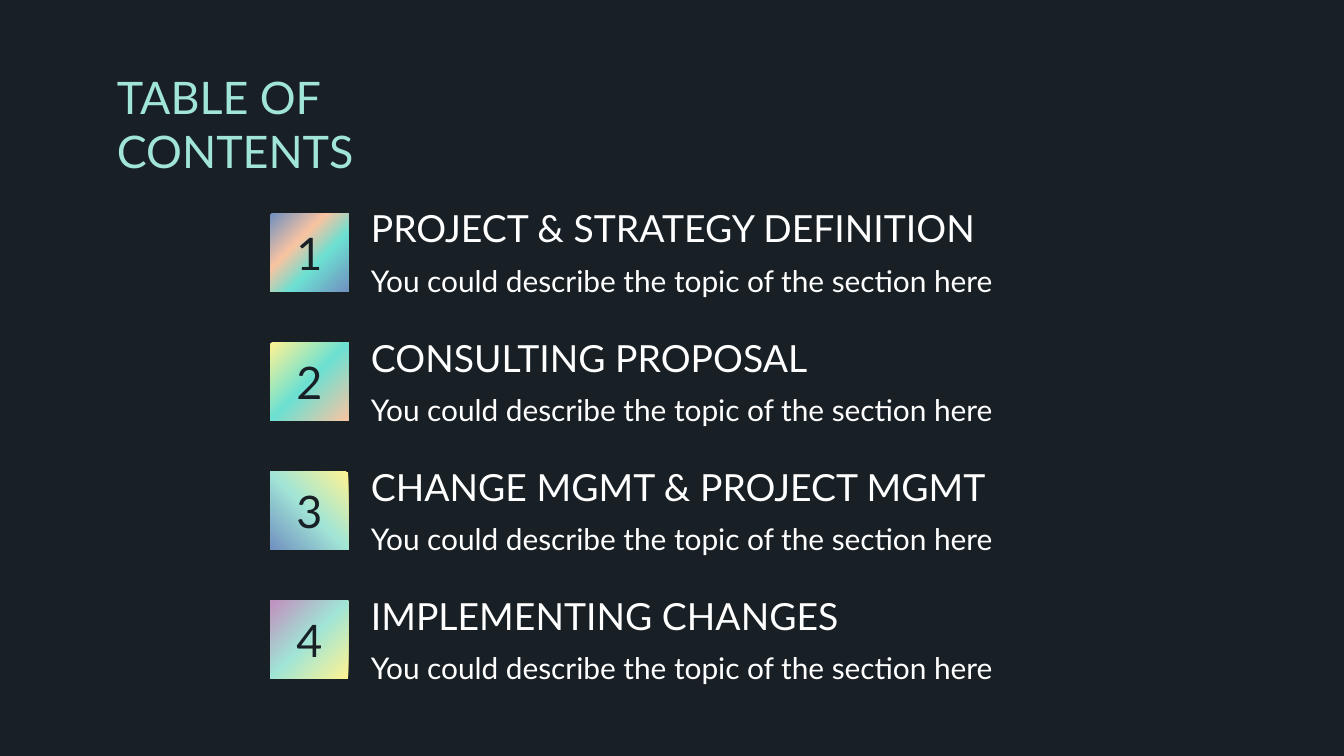
"""Build a dark table of contents slide with four numbered sections."""
from lxml.etree import SubElement
from pptx import Presentation
from pptx.dml.color import RGBColor as RGB
from pptx.enum.shapes import MSO_SHAPE as SHAPE
from pptx.enum.text import MSO_ANCHOR as ANCHOR, MSO_AUTO_SIZE as AUTO, PP_ALIGN as ALIGN
from pptx.oxml.ns import qn
from pptx.util import Cm, Pt

DARK = RGB(0x18, 0x20, 0x26)
WHITE = RGB(0xFF, 0xFF, 0xFF)
MINT = RGB(0xA1, 0xE5, 0xD6)
TEAL = RGB(0x6C, 0xE0, 0xD3)
LEMON = RGB(0xFF, 0xF3, 0x93)
PEACH = RGB(0xFA, 0xC4, 0xA2)
BLUE = RGB(0x71, 0x91, 0xC0)
MAUVE = RGB(0xC1, 0x90, 0xBF)

NOTE = "You could describe the topic of the section here"
PARTS = [
    ("PROJECT & STRATEGY DEFINITION", 45, [(0, BLUE), (36, PEACH), (62, TEAL), (100, BLUE)]),
    ("CONSULTING PROPOSAL", 45, [(0, LEMON), (50, TEAL), (100, PEACH)]),
    ("CHANGE MGMT & PROJECT MGMT", 135, [(0, LEMON), (50, MINT), (100, BLUE)]),
    ("IMPLEMENTING CHANGES", 225, [(0, LEMON), (50, MINT), (100, MAUVE)]),
]
TOP, STEP, SIDE = 4.04, 2.44, 1.47


def write(shape, text, size, color, align=ALIGN.LEFT, anchor=ANCHOR.MIDDLE, pad=0):
    """Set the text of a shape and its format."""
    frame = shape.text_frame
    frame.text = text
    look = {"word_wrap": True, "auto_size": AUTO.NONE, "vertical_anchor": anchor,
            "margin_left": Cm(0.25), "margin_right": Cm(0.25),
            "margin_top": Cm(pad), "margin_bottom": Cm(pad)}
    for name, value in look.items():
        setattr(frame, name, value)
    line = frame.paragraphs[0]
    line.alignment = align
    for name, value in {"name": "Lato", "size": Pt(size)}.items():
        setattr(line.runs[0].font, name, value)
    line.runs[0].font.color.rgb = color


def blend(shape, angle, stops):
    """Fill a shape with a gradient, its angle measured clockwise."""
    shape.fill.gradient()
    shape.fill.gradient_angle = 360 - angle
    ramp = shape.element.spPr.find(".//" + qn("a:gsLst"))
    for old in list(ramp):
        ramp.remove(old)
    for place, color in stops:
        stop = SubElement(ramp, qn("a:gs"), pos=str(place * 1000))
        SubElement(stop, qn("a:srgbClr"), val=str(color))


deck = Presentation()
deck.slide_width, deck.slide_height = Cm(25.4), Cm(14.29)
slide = deck.slides.add_slide(deck.slide_layouts[5])
slide.background.fill.solid()
slide.background.fill.fore_color.rgb = DARK

title = slide.shapes.title
for name, value in {"left": 1.96, "top": 1.07, "width": 7.44, "height": 2.36}.items():
    setattr(title, name, Cm(value))
write(title, "TABLE OF CONTENTS", 24, MINT, anchor=ANCHOR.TOP, pad=0.25)

for index, (topic, angle, stops) in enumerate(PARTS):
    top = TOP + index * STEP
    tile = slide.shapes.add_shape(SHAPE.RECTANGLE, Cm(5.11), Cm(top), Cm(SIDE), Cm(SIDE))
    tile.shadow.inherit = False
    tile.line.fill.background()
    blend(tile, angle, stops)
    write(tile, str(index + 1), 24, DARK, ALIGN.CENTER)
    for text, size, shift in [(topic, 20, -0.2), (NOTE, 16, 0.79)]:
        box = slide.shapes.add_textbox(Cm(6.76), Cm(top + shift), Cm(13.54), Cm(0.94))
        write(box, text, size, WHITE)

deck.save("out.pptx")
